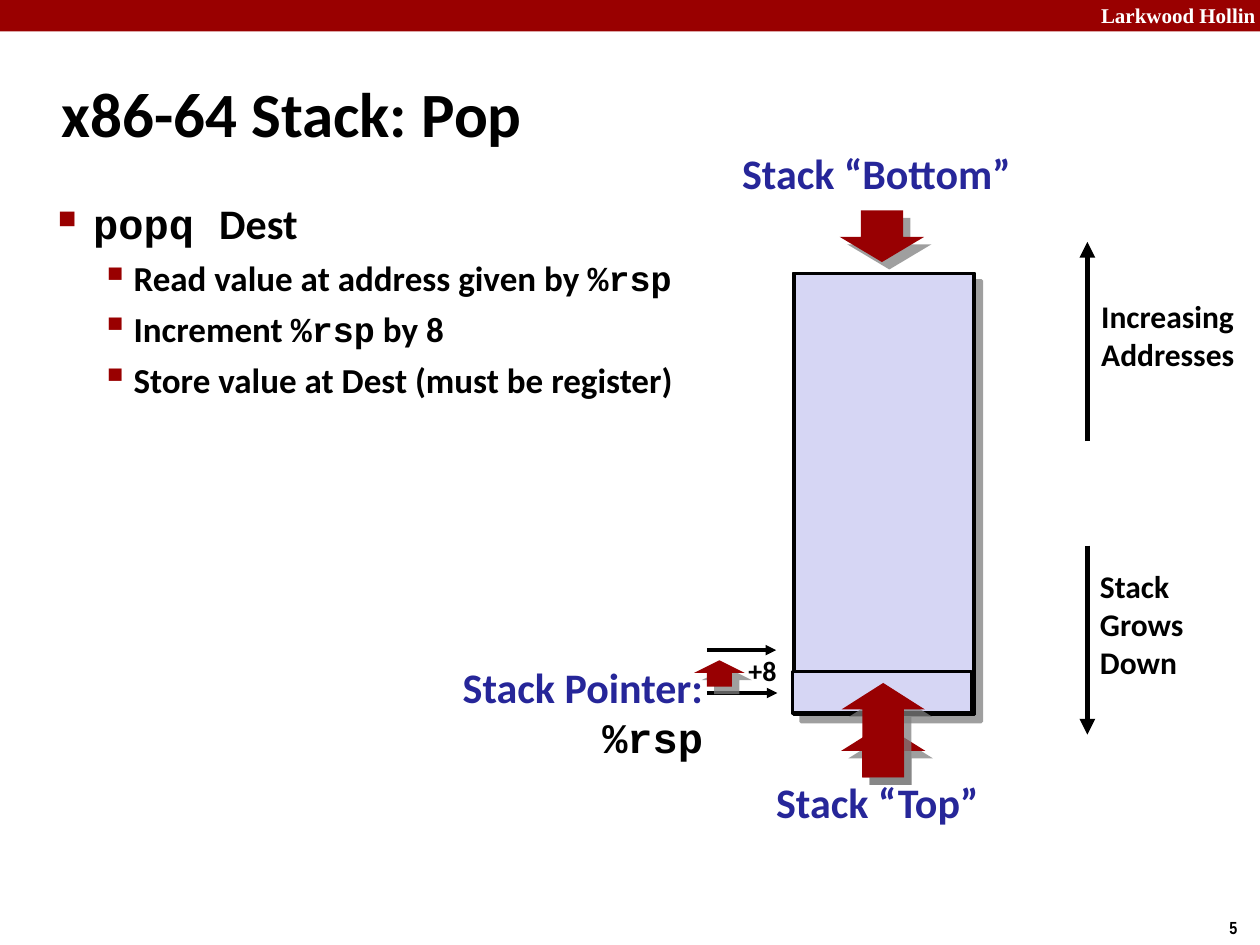
from lxml import etree
from pptx import Presentation, util as u
from pptx.dml.color import RGBColor
from pptx.enum import shapes as kinds, text
from pptx.oxml import ns

BLACK = RGBColor(0, 0, 0)
WHITE = RGBColor(0xFF, 0xFF, 0xFF)
BAND_RED = RGBColor(0x99, 0, 0)
ARROW_RED = RGBColor(0x98, 0, 0x02)
LABEL_BLUE = RGBColor(0x26, 0x26, 0x99)
STACK_LILAC = RGBColor(0xD6, 0xD6, 0xF4)
SHADOW_GREY = "808080"

COLUMNS, ROWS = 10, 7.5
CELL = u.Inches(1)
BODY, CODE = "Calibri", "Courier New"
LEFT, RIGHT = text.PP_ALIGN.LEFT, text.PP_ALIGN.RIGHT
TOP, MIDDLE = text.MSO_ANCHOR.TOP, text.MSO_ANCHOR.MIDDLE
STACK = (6.3, 2.17, 1.43, 3.5)
ADDRESS_AXIS = 8.63


def cells(*counts):
    return [int(CELL * count) for count in counts]


def child(parent, tag, **attributes):
    return etree.SubElement(parent, ns.qn(tag), attributes)


def drop_shadow(shape):
    effects = child(shape.element.spPr, "a:effectLst")
    shadow = child(effects, "a:outerShdw", dist=str(u.Pt(6)), dir="2700000",
                   algn="ctr", rotWithShape="0")
    child(child(shadow, "a:srgbClr", val=SHADOW_GREY), "a:alpha", val="75000")


def paint(shape, fill, outline=None, shadow=False):
    shape.fill.solid()
    shape.fill.fore_color.rgb = fill
    if outline is None:
        shape.line.fill.background()
    else:
        shape.line.color.rgb = outline
        shape.line.width = u.Pt(2)
    if shadow:
        drop_shadow(shape)
    else:
        shape.shadow.inherit = False


def box(shapes, area, fill, outline=None, shadow=False):
    rectangle = shapes.add_shape(kinds.MSO_SHAPE.RECTANGLE, *cells(*area))
    paint(rectangle, fill, outline, shadow)
    return rectangle


def line(shapes, start, end, width=2, arrow=True):
    connector = shapes.add_connector(kinds.MSO_CONNECTOR.STRAIGHT, *cells(*start, *end))
    connector.line.color.rgb = BLACK
    connector.line.width = u.Pt(width)
    if arrow:
        child(connector.line._get_or_add_ln(), "a:tailEnd", type="triangle")
    child(connector.element.spPr, "a:effectLst")


def block_arrow(shapes, tip, width, length, head):
    x, y = tip
    wing, shaft = width / 2, width / 4
    outline = [(x - wing, y + head), (x - shaft, y + head), (x - shaft, y + length),
               (x + shaft, y + length), (x + shaft, y + head), (x + wing, y + head)]
    builder = shapes.build_freeform(*cells(x, y))
    builder.add_line_segments([cells(*point) for point in outline], close=True)
    paint(builder.convert_to_shape(), ARROW_RED, shadow=True)


def add_runs(paragraph, runs, size):
    for words, font, color in runs:
        run = paragraph.add_run()
        run.text = words
        run.font.name = font
        run.font.size = u.Pt(size)
        run.font.bold = True
        run.font.color.rgb = color


def write(shape, paragraphs, size, inset=0, wrap=False, align=LEFT, anchor=TOP):
    frame = shape.text_frame
    frame.word_wrap = wrap
    frame.vertical_anchor = anchor
    frame.margin_left = frame.margin_right = u.Inches(inset)
    frame.margin_top = frame.margin_bottom = u.Inches(min(inset, 0.05))
    if not wrap:
        frame.auto_size = text.MSO_AUTO_SIZE.SHAPE_TO_FIT_TEXT
    for index, runs in enumerate(paragraphs):
        paragraph = frame.add_paragraph() if index else frame.paragraphs[0]
        paragraph.alignment = align
        add_runs(paragraph, runs, size)


def label(shapes, area, words, size, font=BODY, color=BLACK, **layout):
    write(shapes.add_textbox(*cells(*area)), [[(words, font, color)]], size, **layout)


def bullet(paragraph, level, mark, scale, indent, hang, space):
    paragraph.level = level
    paragraph.space_before = u.Pt(space)
    properties = paragraph._p.get_or_add_pPr()
    properties.set("marL", str(u.Inches(indent)))
    properties.set("indent", str(-u.Inches(hang)))
    child(child(properties, "a:buClr"), "a:srgbClr", val=str(BAND_RED))
    child(properties, "a:buSzPct", val=str(scale * 1000))
    child(properties, "a:buChar", char=mark)


def instruction_notes(shapes):
    frame = shapes.add_textbox(*cells(0.42, 1.53, 9.17, 5.94)).text_frame
    frame.word_wrap = True
    frame.margin_left = frame.margin_right = u.Inches(0.04)
    frame.margin_top = frame.margin_bottom = u.Inches(0.04)
    heading = frame.paragraphs[0]
    bullet(heading, 0, "■", 60, 0.28, 0.28, 6)
    add_runs(heading, [("popq ", CODE, BLACK), ("Dest", BODY, BLACK)], 24)
    steps = [
        [("Read value at address given by ", BODY), ("%rsp", CODE)],
        [("Increment ", BODY), ("%rsp", CODE), (" by 8", BODY)],
        [("Store value at Dest (must be register)", BODY)],
    ]
    for step in steps:
        paragraph = frame.add_paragraph()
        bullet(paragraph, 1, "▪", 110, 0.6, 0.26, 5)
        add_runs(paragraph, [(words, font, BLACK) for words, font in step], 20)


def page_frame(shapes):
    box(shapes, (0, 0, COLUMNS, 0.25), BAND_RED)
    label(shapes, (8.64, -0.03, 1.43, 0.3), "Larkwood Hollin", 12,
          "Times New Roman", WHITE, inset=0.1, wrap=True)
    label(shapes, (9.66, 7.23, 0.34, 0.27), "5", 10, "Arial Narrow", inset=0.1)


def direction_notes(shapes):
    line(shapes, (ADDRESS_AXIS, 4.33), (ADDRESS_AXIS, 5.83), 3)
    write(box(shapes, (8.73, 4.5, 0.89, 1), WHITE),
          [[("Stack Grows", BODY, BLACK)], [("Down", BODY, BLACK)]], 18, wrap=True)
    line(shapes, (ADDRESS_AXIS, 3.5), (ADDRESS_AXIS, 1.92), 3)
    write(box(shapes, (8.74, 2.36, 1.13, 0.69), WHITE),
          [[("Increasing", BODY, BLACK)], [("Addresses", BODY, BLACK)]], 18)


def pointer_increment(shapes):
    line(shapes, (5.61, 5.16), (6.16, 5.16))
    label(shapes, (5.9, 5.15, 0.31, 0.35), "+8", 16, inset=0.04)
    block_arrow(shapes, (5.71, 5.24), 0.4, 0.21, 0.1)


def main():
    deck = Presentation()
    deck.slide_width, deck.slide_height = cells(COLUMNS, ROWS)
    shapes = deck.slides.add_slide(deck.slide_layouts[6]).shapes

    page_frame(shapes)
    block_arrow(shapes, (7.01, 5.75), 0.67, 0.42, 0.21)
    line(shapes, (5.61, 5.5), (6.17, 5.5))
    write(shapes.add_textbox(*cells(3.08, 5.25, 2.5, 0.8)),
          [[("Stack Pointer: ", BODY, LABEL_BLUE), ("%rsp", CODE, BLACK)]],
          24, wrap=True, align=RIGHT)
    box(shapes, STACK, STACK_LILAC, BLACK, shadow=True)
    direction_notes(shapes)
    label(shapes, (6.16, 6.16, 1.7, 0.49), "Stack “Top”", 24, color=LABEL_BLUE)
    label(shapes, (5.89, 1.17, 2.23, 0.49), "Stack “Bottom”", 24, color=LABEL_BLUE)
    block_arrow(shapes, (7, 2.08), 0.67, -0.41, -0.2)
    label(shapes, (0.39, 0.48, 8.3, 0.83), "x86-64 Stack: Pop", 36,
          inset=0.1, wrap=True, anchor=MIDDLE)
    box(shapes, STACK, STACK_LILAC, BLACK)
    line(shapes, (6.29, 5.33), (7.71, 5.33), arrow=False)
    pointer_increment(shapes.add_group_shape().shapes)
    box(shapes, (6.29, 5.33, 1.42, 0.33), STACK_LILAC, BLACK)
    block_arrow(shapes, (7.01, 5.42), 0.66, 0.75, 0.21)
    instruction_notes(shapes)
    deck.save("out.pptx")


main()
